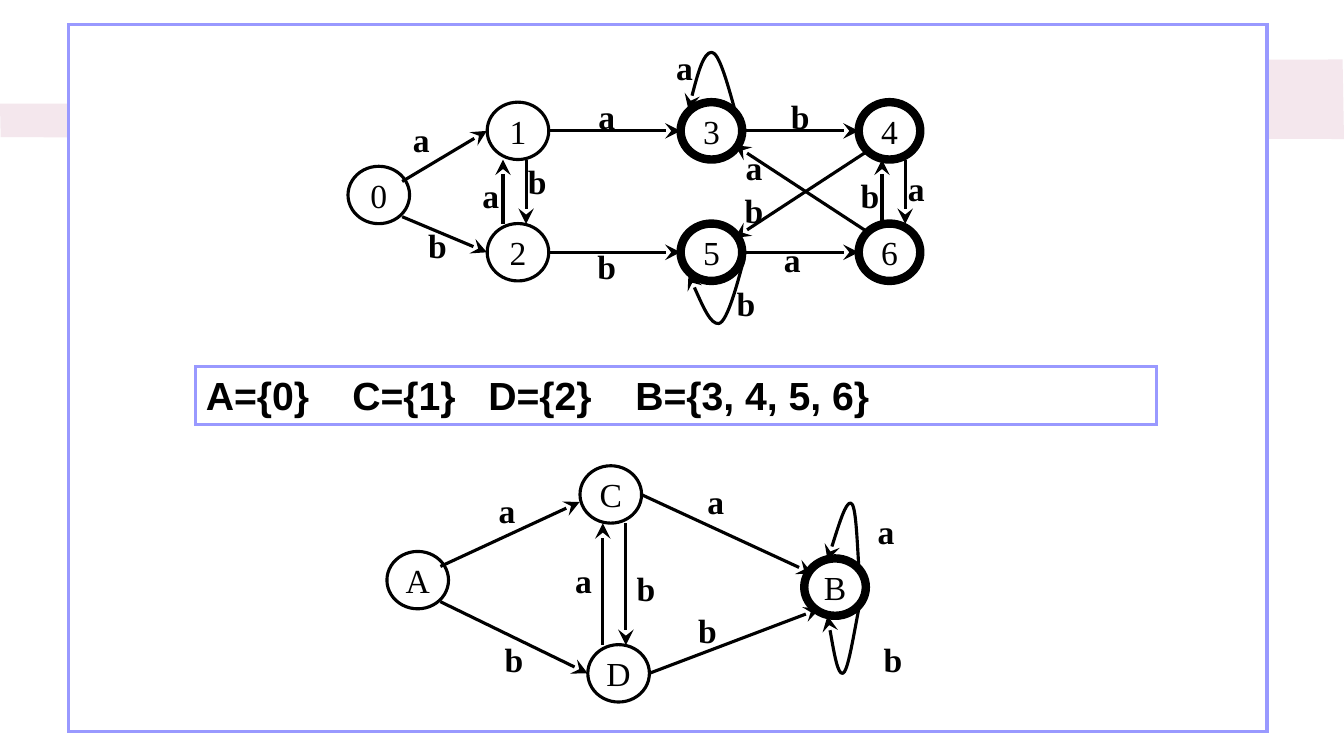
from lxml import etree
from pptx import Presentation
from pptx.dml.color import RGBColor
from pptx.enum.shapes import MSO_CONNECTOR, MSO_SHAPE
from pptx.enum.text import MSO_ANCHOR, MSO_AUTO_SIZE, PP_ALIGN
from pptx.oxml.ns import qn
from pptx.util import Pt

OVAL, RECTANGLE = MSO_SHAPE.OVAL, MSO_SHAPE.RECTANGLE
STRAIGHT = MSO_CONNECTOR.STRAIGHT
MIDDLE, CENTER = MSO_ANCHOR.MIDDLE, PP_ALIGN.CENTER
GROW = MSO_AUTO_SIZE.SHAPE_TO_FIT_TEXT

COLORS = {"ink": "000000", "frame": "9999FF", "paper": "FFFFFF", "band": "F4E7ED"}


class AutomatonSlide:
    node_width, node_height = 44, 41
    label_width, label_height = 39, 31
    thin, thick = 2.25, 6

    def __init__(self, slide):
        self.slide = slide
        self.shapes = slide.shapes

    def color(self, name):
        return RGBColor.from_string(COLORS[name])

    def outline(self, shape, color="ink", width=thin):
        shape.line.color.rgb = self.color(color)
        shape.line.width = Pt(width)

    def sharp_frame(self, shape):
        self.outline(shape, "frame")
        etree.SubElement(shape.line._get_or_add_ln(), qn("a:miter"), lim="800000")

    def arrowhead(self, shape):
        line = shape.line._get_or_add_ln()
        etree.SubElement(line, qn("a:tailEnd"), type="stealth", w="lg", len="lg")

    def style_font(self, paragraph, name, size, bold):
        font = paragraph.font
        font.name, font.size, font.bold = name, Pt(size), bold
        font.color.rgb = self.color("ink")

    def symbol(self, shape, text, bold):
        frame = shape.text_frame
        frame.word_wrap = False
        frame.vertical_anchor = MIDDLE
        frame.text = text
        paragraph = frame.paragraphs[0]
        paragraph.alignment = CENTER
        self.style_font(paragraph, "Times New Roman", 24, bold)

    def polygon(self, points, closed):
        points = [(Pt(x), Pt(y)) for x, y in points]
        builder = self.shapes.build_freeform(*points[0])
        builder.add_line_segments(points[1:], close=closed)
        shape = builder.convert_to_shape()
        shape.shadow.inherit = False
        return shape

    def band(self, points):
        shape = self.polygon(points, True)
        shape.fill.solid()
        shape.fill.fore_color.rgb = self.color("band")
        shape.line.fill.background()

    def panel(self, x, y, width, height):
        panel = self.shapes.add_shape(RECTANGLE, Pt(x), Pt(y), Pt(width), Pt(height))
        panel.shadow.inherit = False
        panel.fill.solid()
        panel.fill.fore_color.rgb = self.color("paper")
        self.sharp_frame(panel)

    def node(self, name, x, y, final=False):
        """Draw a state centred on (x, y)."""
        state = self.shapes.add_shape(
            OVAL, Pt(x - self.node_width / 2), Pt(y - self.node_height / 2),
            Pt(self.node_width), Pt(self.node_height))
        state.shadow.inherit = False
        state.fill.background()
        self.outline(state, width=self.thick if final else self.thin)
        self.symbol(state, name, False)

    def label(self, text, x, y):
        """Write a transition symbol centred on (x, y)."""
        box = self.shapes.add_textbox(
            Pt(x - self.label_width / 2), Pt(y - self.label_height / 2),
            Pt(self.label_width), Pt(self.label_height))
        self.symbol(box, text, True)

    def edge(self, start, end, text, label_at):
        edge = self.shapes.add_connector(
            STRAIGHT, *(Pt(value) for value in start + end))
        self.outline(edge)
        self.arrowhead(edge)
        etree.SubElement(edge._element.spPr, qn("a:effectLst"))
        self.label(text, *label_at)

    def loop(self, points, text, label_at):
        """Draw a self transition: a start, then three points per cubic curve."""
        loop = self.polygon(points, False)
        segments = list(loop._element.iter(qn("a:lnTo")))
        for first in range(0, len(segments), 3):
            curve = etree.Element(qn("a:cubicBezTo"))
            segments[first].addprevious(curve)
            for segment in segments[first:first + 3]:
                curve.append(segment[0])
                segment.getparent().remove(segment)
        loop.fill.background()
        self.outline(loop)
        self.arrowhead(loop)
        self.label(text, *label_at)

    def caption(self, x, y, width, height, classes, tab_stops):
        box = self.shapes.add_textbox(Pt(x), Pt(y), Pt(width), Pt(height))
        self.sharp_frame(box)
        frame = box.text_frame
        frame.word_wrap = True
        frame.auto_size = GROW
        paragraph = frame.paragraphs[0]
        paragraph.add_run().text = "\t".join(classes)
        tabs = etree.SubElement(paragraph._p.get_or_add_pPr(), qn("a:tabLst"))
        for stop in tab_stops:
            etree.SubElement(tabs, qn("a:tab"), pos=str(Pt(stop)), algn="l")
        self.style_font(paragraph, "Arial", 28, True)


def main():
    deck = Presentation()
    deck.slide_width, deck.slide_height = Pt(960), Pt(540)
    page = AutomatonSlide(deck.slides.add_slide(deck.slide_layouts[6]))

    # Background band and framed panel
    page.band([(0, 74), (73.5, 74), (129.5, 28), (360, 28),
               (377.5, 43), (959, 42.5), (960, 99.3), (0.5, 98)])
    page.panel(49, 17.7, 856, 504.7)

    # Full automaton: states on a grid
    top, middle, bottom = 93.5, 139.3, 180.2
    first, second, third, fourth = 270.6, 370, 508.2, 635.4
    for name, x, y, final in [
        ("0", first, middle, False), ("1", second, top, False),
        ("2", second, bottom, False), ("3", third, top, True),
        ("5", third, bottom, True), ("4", fourth, top, True),
        ("6", fourth, bottom, True),
    ]:
        page.node(name, x, y, final)

    # Full automaton: transitions along the rows
    half = page.node_width / 2
    for left, right, y, text, label_at in [
        (second, third, top, "a", (433.4, 83.2)),
        (third, fourth, top, "b", (571.7, 83.2)),
        (second, third, bottom, "b", (433.4, 190.4)),
        (third, fourth, bottom, "a", (566, 185.4)),
    ]:
        page.edge((left + half, y), (right - half, y), text, label_at)

    # Full automaton: transitions between the rows
    for start, end, text, label_at in [
        ((287.3, 129.6), (347.8, top), "a", (301, 99)),
        ((287.3, 154.8), (347.8, bottom), "b", (312.5, 175.3)),
        ((375.8, 114), (375.8, 160), "b", (383.8, 129.2)),
        ((359.3, 160), (359.3, 114), "a", (350.6, 139.3)),
        ((630, 160), (630, 114), "b", (621.4, 139.3)),
        ((646.6, 114), (646.6, 160), "a", (654.5, 134.3)),
        ((618.5, 108.7), (524.9, 169.9), "b", (538.6, 150.1)),
        ((618.5, 164.9), (524.9, 103.7), "a", (538.6, 119.2)),
    ]:
        page.edge(start, end, text, label_at)
    page.loop([
        (524.9, 78.5), (519.1, 57.6), (513.4, 37.4), (508.3, 37.4),
        (502.6, 37.4), (496.8, 57.6), (491.8, 78.5),
    ], "a", (488.9, 47.9))
    page.loop([
        (529.9, 185.8), (531.4, 184.3), (532.8, 182.9), (529.9, 190.8),
        (527.8, 198), (519.8, 230.4), (513.4, 231.1),
        (507.6, 231.8), (499.7, 213.8), (491.8, 195.8),
    ], "b", (532.8, 216.4))

    # Minimal automaton: states
    for name, x, y, final in [
        ("A", 298.4, 414.4, False), ("C", 436.3, 353.2, False),
        ("D", 441.9, 481, False), ("B", 596.5, 419.4, True),
    ]:
        page.node(name, x, y, final)

    # Minimal automaton: transitions
    for start, end, text, label_at in [
        ((314.6, 404.6), (414, 358.6), "a", (362.2, 364)),
        ((458.6, 353.5), (580.3, 409.7), "a", (511.2, 358.2)),
        ((314.6, 429.8), (419.8, 481), "b", (367.2, 470.5)),
        ((447.1, 373.7), (447.1, 460.8), "b", (461.5, 420.1)),
        ((430.6, 460.8), (430.6, 373.7), "a", (416.9, 414.4)),
        ((463.7, 481), (585.4, 434.9), "b", (505.4, 450.4)),
    ]:
        page.edge(start, end, text, label_at)
    page.loop([
        (613.4, 404.6), (612, 382.3), (611.3, 360), (607.7, 359.3),
        (604.1, 358.6), (597.6, 379.4), (591.1, 400.3),
    ], "a", (632.9, 379.1))
    page.loop([
        (613.4, 434.9), (609.1, 457.2), (605.5, 480.2), (601.9, 481),
        (598.3, 481.7), (594.7, 461), (591.1, 439.9),
    ], "b", (637.9, 470.5))

    # Equivalence classes
    page.caption(139.9, 262, 686, 41, ["A={0}", "C={1}", "D={2}", "B={3, 4, 5, 6}"],
                 [104.7, 201.8, 306.8])

    deck.save("out.pptx")


if __name__ == "__main__":
    main()
